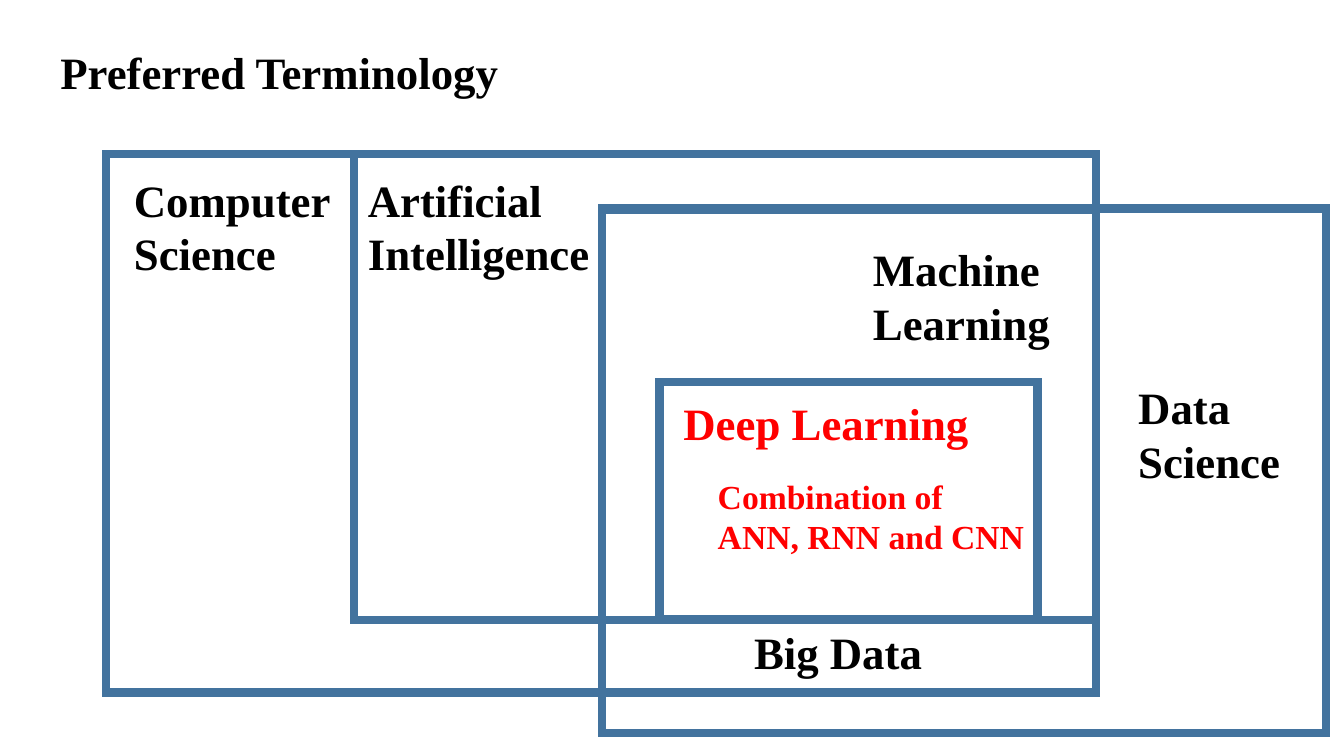
from lxml import etree
from pptx import Presentation
from pptx.dml.color import RGBColor
from pptx.enum import shapes, text
from pptx.oxml import ns
from pptx.util import Inches, Pt

COLORS = {"frame": "43739E", "label": "000000", "focus": "FF0000"}
FONT = "Times New Roman"

presentation = Presentation()
presentation.slide_width = Inches(13.33)
presentation.slide_height = Inches(7.5)
slide = presentation.slides.add_slide(presentation.slide_layouts[6])

# Nested fields: left, top, right, bottom
fields = [
    (1.05, 1.53, 10.87, 6.87),  # Computer Science
    (3.51, 1.53, 10.87, 6.15),  # Artificial Intelligence
    (5.97, 2.08, 10.87, 6.15),  # Machine Learning
    (5.97, 2.07, 13.15, 7.27),  # Data Science
    (6.54, 3.79, 10.29, 6.14),  # Deep Learning
]
for left, top, right, bottom in fields:
    frame = slide.shapes.add_shape(
        shapes.MSO_SHAPE.RECTANGLE,
        Inches(left), Inches(top), Inches(right - left), Inches(bottom - top))
    frame.shadow.inherit = False
    frame.fill.background()
    frame.line.color.rgb = RGBColor.from_string(COLORS["frame"])
    frame.line.width = Pt(6)
    outline = frame.element.spPr.find(ns.qn("a:ln"))
    etree.SubElement(outline, ns.qn("a:miter"), lim="800000")

# Labels: text, left, top, width, height, size, colour
labels = [
    ("Preferred Terminology", 0.5, 0.39, 4.59, 0.64, 32, "label"),
    ("Computer\nScience", 1.23, 1.66, 2.27, 1.18, 32, "label"),
    ("Artificial\nIntelligence", 3.55, 1.66, 2.42, 1.18, 32, "label"),
    ("Machine\nLearning", 8.56, 2.35, 1.98, 1.18, 32, "label"),
    ("Data\nScience", 11.19, 3.72, 1.62, 1.18, 32, "label"),
    ("Big Data", 7.38, 6.15, 1.88, 0.64, 32, "label"),
    ("Deep Learning", 6.68, 3.88, 3.06, 0.64, 32, "focus"),
    ("Combination of\nANN, RNN and CNN", 7.02, 4.67, 3.28, 0.91, 24, "focus"),
]
for wording, left, top, width, height, size, color in labels:
    label = slide.shapes.add_textbox(
        Inches(left), Inches(top), Inches(width), Inches(height))
    text_frame = label.text_frame
    text_frame.word_wrap = False
    text_frame.auto_size = text.MSO_AUTO_SIZE.SHAPE_TO_FIT_TEXT
    text_frame.text = wording
    for paragraph in text_frame.paragraphs:
        for run in paragraph.runs:
            run.font.name = FONT
            run.font.size = Pt(size)
            run.font.bold = True
            run.font.color.rgb = RGBColor.from_string(COLORS[color])

presentation.save("out.pptx")
